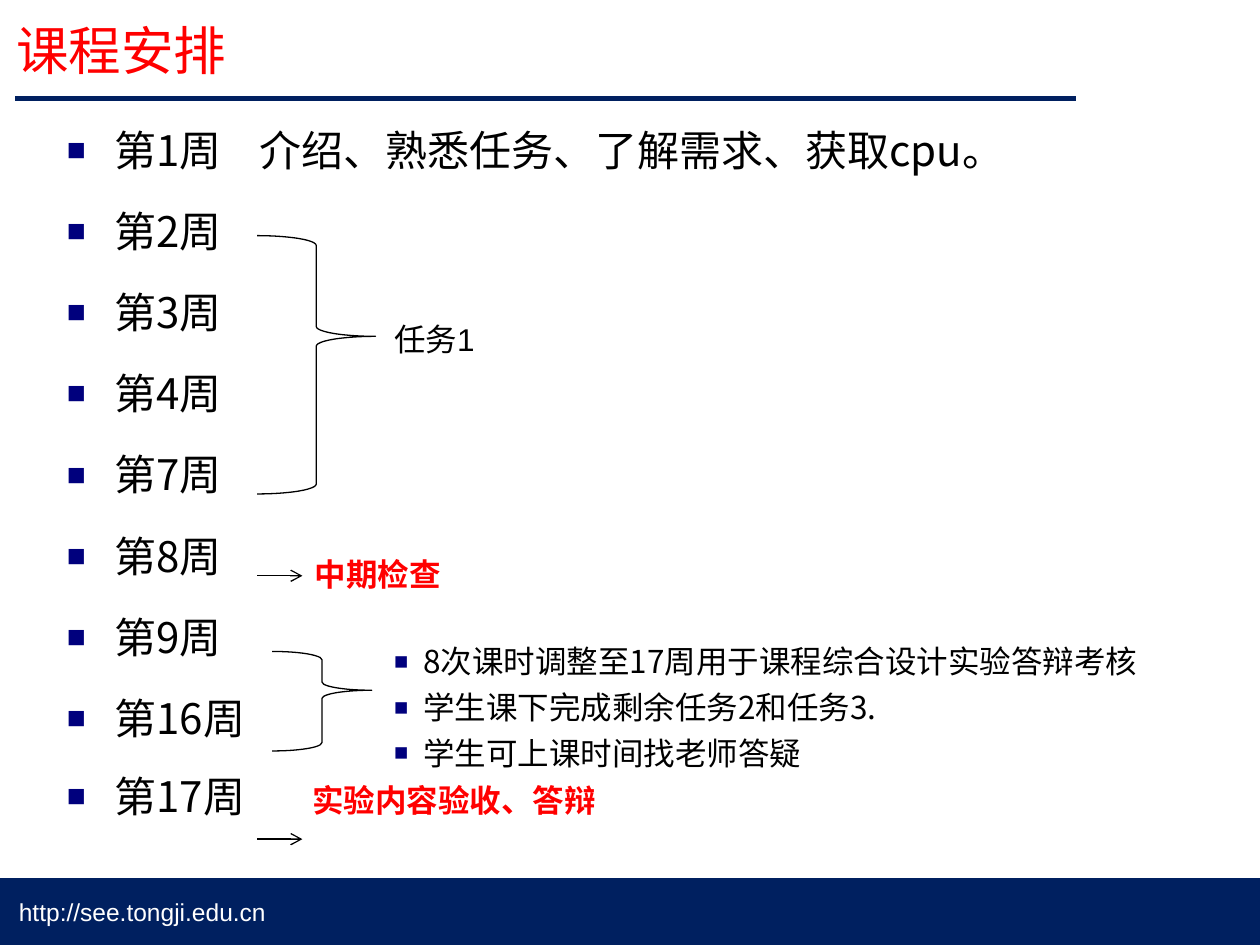
from lxml import etree
from pptx import Presentation
from pptx.dml.color import RGBColor
from pptx.enum.shapes import MSO_CONNECTOR, MSO_SHAPE
from pptx.enum.text import MSO_ANCHOR, MSO_AUTO_SIZE, PP_ALIGN
from pptx.oxml.ns import qn
from pptx.util import Inches, Pt

NAVY = RGBColor(0x00, 0x20, 0x60)
BULLET_BLUE = RGBColor(0x00, 0x00, 0x7D)
RED = RGBColor(0xFF, 0x00, 0x00)
BLACK = RGBColor(0x00, 0x00, 0x00)
WHITE = RGBColor(0xFF, 0xFF, 0xFF)
LATIN = "Arial"
CHINESE = "Noto Sans CJK SC"
LEFT = PP_ALIGN.LEFT
TOP, MIDDLE = MSO_ANCHOR.TOP, MSO_ANCHOR.MIDDLE
NO_FIT = MSO_AUTO_SIZE.NONE
STRAIGHT = MSO_CONNECTOR.STRAIGHT
RECTANGLE, RIGHT_BRACE = MSO_SHAPE.RECTANGLE, MSO_SHAPE.RIGHT_BRACE

WEEKS = ["第1周\t介绍、熟悉任务、了解需求、获取cpu。", "第2周", "第3周", "第4周",
         "第7周", "第8周", "第9周", "第16周", "第17周\t"]
NOTES = ["8次课时调整至17周用于课程综合设计实验答辩考核",
         "学生课下完成剩余任务2和任务3.", "学生可上课时间找老师答疑"]


def style_font(para, size, color, name=CHINESE, bold=False):
    font = para.font
    font.size, font.name, font.bold = Pt(size), name, bold
    font.color.rgb = color
    latin = para._p.pPr.find(qn("a:defRPr")).find(qn("a:latin"))
    east_asian = etree.Element(qn("a:ea"), typeface=CHINESE)
    latin.addnext(east_asian)


def add_bullet(para, indent, tab=None):
    props = para._p.get_or_add_pPr()
    props.set("marL", str(Inches(indent)))
    props.set("indent", str(-Inches(indent)))
    color = etree.SubElement(props, qn("a:buClr"))
    etree.SubElement(color, qn("a:srgbClr"), val=str(BULLET_BLUE))
    etree.SubElement(props, qn("a:buSzPct"), val="75000")
    etree.SubElement(props, qn("a:buFont"), typeface=LATIN)
    etree.SubElement(props, qn("a:buChar"), char="■")
    if tab:
        tabs = etree.SubElement(props, qn("a:tabLst"))
        etree.SubElement(tabs, qn("a:tab"), pos=str(Inches(tab)), algn="l")


def place(shape, box):
    shape.left, shape.top, shape.width, shape.height = map(Inches, box)


def fill_lines(frame, lines):
    frame.text = lines[0]
    for line in lines[1:]:
        frame.add_paragraph().text = line
    return frame.paragraphs


def add_line(page, start, end, color, width, arrow=False):
    line = page.shapes.add_connector(STRAIGHT, *map(Inches, start + end))
    line.line.color.rgb = color
    line.line.width = Pt(width)
    if arrow:
        etree.SubElement(line.line._get_or_add_ln(), qn("a:tailEnd"), type="arrow")
    etree.SubElement(line._element.spPr, qn("a:effectLst"))


def add_brace(page, box):
    brace = page.shapes.add_shape(RIGHT_BRACE, *map(Inches, box))
    brace.adjustments[1] = 0.39
    brace.shadow.inherit = False
    brace.fill.background()
    brace.line.color.rgb = BLACK
    brace.line.width = Pt(0.75)


def add_text(page, box, lines):
    frame = page.shapes.add_textbox(*map(Inches, box)).text_frame
    frame.word_wrap = True
    return fill_lines(frame, lines)


def add_title(page, box):
    title = page.shapes.title
    place(title, box)
    title.text_frame.auto_size = NO_FIT
    title.text_frame.vertical_anchor = MIDDLE
    para = fill_lines(title.text_frame, ["课程安排"])[0]
    para.alignment = LEFT
    style_font(para, 30, RED)
    # Rule under the title
    left, top, _, height = box
    add_line(page, (left + 0.09, top + height), (8.54, top + height), NAVY, 3)


def add_footer(page, box):
    bar = page.shapes.add_shape(RECTANGLE, *map(Inches, box))
    bar.shadow.inherit = False
    bar.fill.solid()
    bar.fill.fore_color.rgb = NAVY
    bar.line.fill.background()
    frame = bar.text_frame
    frame.vertical_anchor = MIDDLE
    frame.margin_left = Inches(0.15)
    para = fill_lines(frame, ["http://see.tongji.edu.cn"])[0]
    para.alignment = LEFT
    style_font(para, 14, WHITE, LATIN)


def add_weeks(page, box):
    body = page.placeholders[1]
    place(body, box)
    frame = body.text_frame
    frame.auto_size = NO_FIT
    frame.vertical_anchor = TOP
    paras = fill_lines(frame, WEEKS)
    for index, para in enumerate(paras):
        para.line_spacing = 1.4
        para.space_before = Pt(6 if index else 0)
        add_bullet(para, 0.38, 1.53 if index == 0 else 1.95)
        style_font(para, 24, BLACK)
    # Final week carries a highlighted remark
    paras[-1].space_before = Pt(4.5)
    span = paras[-1].add_run()
    span.text = "实验内容验收、答辩"
    span.font.size, span.font.bold = Pt(18), True
    span.font.color.rgb = RED


def add_notes(page, box):
    for index, para in enumerate(add_text(page, box, NOTES)):
        para.space_before = Pt(4.5 if index else 0)
        add_bullet(para, 0.23)
        style_font(para, 18, BLACK)


def add_label(page, box, text, color, bold=False):
    style_font(add_text(page, box, [text])[0], 18, color, LATIN, bold)


def main():
    deck = Presentation()
    deck.slide_width, deck.slide_height = Inches(10), Inches(7.5)
    page = deck.slides.add_slide(deck.slide_layouts[1])

    add_footer(page, (0, 6.97, 10, 0.53))
    add_title(page, (0.03, 0, 9, 0.78))
    add_weeks(page, (0.43, 0.78, 7.97, 6.12))

    # Weeks 2 to 7
    add_brace(page, (2.04, 1.87, 0.94, 2.05))
    add_label(page, (3.03, 2.49, 6.81, 0.4), "任务1", BLACK)
    # Weeks 9 to 16
    add_brace(page, (2.16, 5.17, 0.79, 0.79))
    add_notes(page, (3.03, 5.05, 6.81, 1.13))
    # Checkpoints in weeks 8 and 17
    add_label(page, (2.4, 4.36, 7.62, 0.4), "中期检查", RED, True)
    for top in (4.57, 6.66):
        add_line(page, (2.04, top), (2.4, top), BLACK, 0.75, arrow=True)

    deck.save("out.pptx")


if __name__ == "__main__":
    main()
